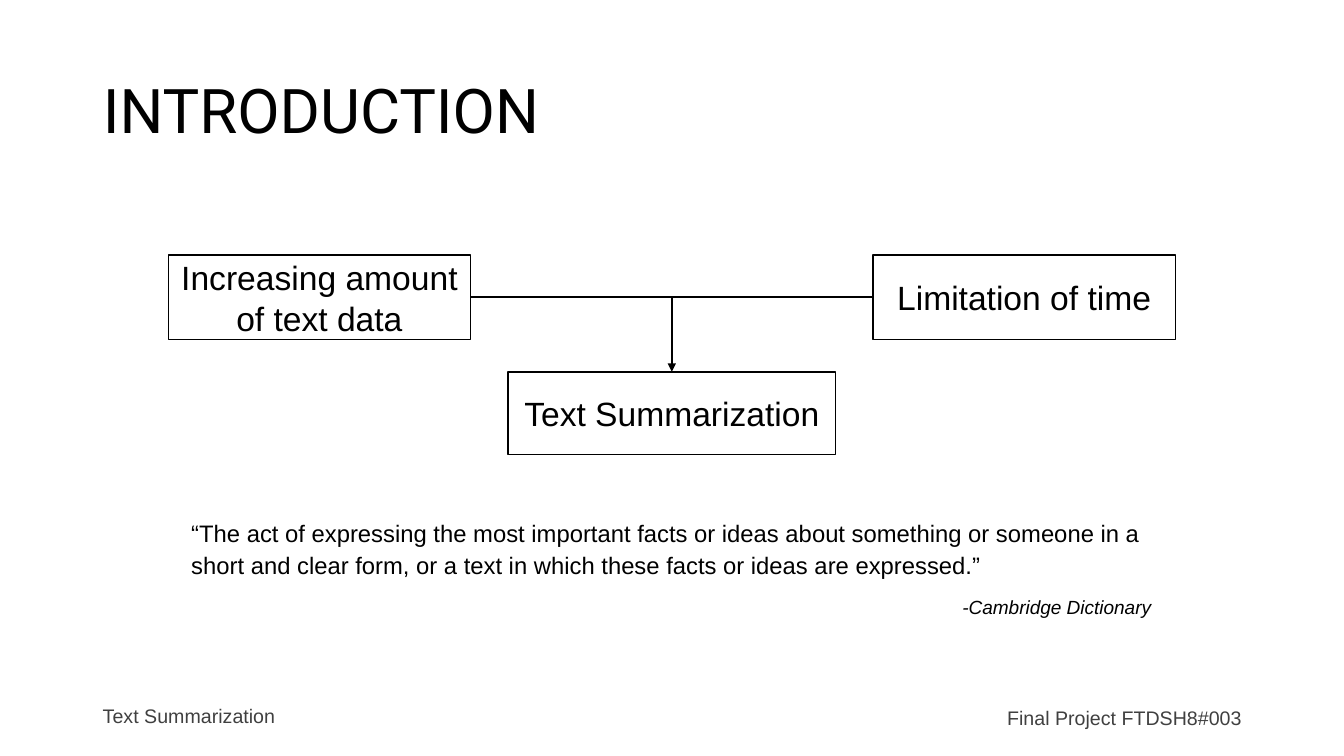
from dataclasses import dataclass

from lxml.etree import SubElement
from pptx import Presentation
from pptx.dml.color import RGBColor
from pptx.enum.shapes import MSO_CONNECTOR, MSO_SHAPE
from pptx.enum.text import MSO_ANCHOR, MSO_AUTO_SIZE, PP_ALIGN
from pptx.oxml.ns import qn
from pptx.util import Cm, Pt


@dataclass(frozen=True)
class Theme:
    """Colours, fonts and type sizes of the slide."""
    ink: str = "000000"
    paper: str = "FFFFFF"
    grey: str = "404040"
    head: str = "Roboto"
    text: str = "Arial"
    title: float = 44
    box: float = 24
    quote: float = 17
    credit: float = 13.6
    foot: float = 14
    edge: float = 1
    link: float = 1.5


@dataclass(frozen=True)
class Area:
    """A rectangle in centimetres."""
    left: float
    top: float
    width: float
    height: float

    @property
    def right(self) -> float:
        """Return the right edge."""
        return self.left + self.width

    @property
    def mid(self) -> float:
        """Return the height of the middle line."""
        return self.top + self.height / 2

    def cm(self) -> tuple:
        """Return the four lengths for a new shape."""
        return Cm(self.left), Cm(self.top), Cm(self.width), Cm(self.height)


@dataclass(frozen=True)
class Line:
    """One paragraph with its font and paragraph formats."""
    text: str
    size: float
    align: PP_ALIGN = PP_ALIGN.LEFT
    color: str = "000000"
    font: str = "Arial"
    italic: bool = False
    space: float = 1.0
    before: float = 0


@dataclass(frozen=True)
class Label:
    """An area that holds lines of text."""
    area: Area
    lines: tuple


@dataclass(frozen=True)
class Link:
    """A straight line between two points in centimetres."""
    start: tuple
    end: tuple
    arrow: bool = False


LOOK = Theme()
TITLE = Label(Area(2.34, 1.02, 29.21, 3.68), (
    Line("INTRODUCTION", LOOK.title, font=LOOK.head, color=LOOK.ink, space=0.9),))
FEET = (
    Label(Area(24.69, 17.55, 6.86, 1.07), (
        Line("Final Project FTDSH8#003", LOOK.foot, PP_ALIGN.RIGHT, LOOK.grey),)),
    Label(Area(2.34, 17.5, 5.13, 1.07), (
        Line("Text Summarization", LOOK.foot, color=LOOK.grey),)),
)
QUOTE = Label(Area(4.57, 12.88, 24.69, 2.79), (
    Line("“The act of expressing the most important facts or ideas about something "
         "or someone in a short and clear form, or a text in which these facts or "
         "ideas are expressed.”", LOOK.quote, color=LOOK.ink, space=1.1),
    Line("-Cambridge Dictionary", LOOK.credit, PP_ALIGN.RIGHT, LOOK.ink,
         italic=True, space=1.1, before=10),
))
CAUSE = Area(4.24, 6.43, 7.62, 2.13)
LIMIT = Area(22, 6.43, 7.62, 2.13)
RESULT = Area(12.8, 9.37, 8.26, 2.08)
BOXES = tuple(
    Label(area, (Line(text, LOOK.box, PP_ALIGN.CENTER, LOOK.ink),))
    for area, text in (
        (CAUSE, "Increasing amount of text data"),
        (LIMIT, "Limitation of time"),
        (RESULT, "Text Summarization"),
    ))
FORK = (CAUSE.right + LIMIT.left) / 2
LINKS = (
    Link((CAUSE.right, CAUSE.mid), (LIMIT.left, LIMIT.mid)),
    Link((FORK, CAUSE.mid), (FORK, RESULT.top), arrow=True),
)


def apply(item, values: dict) -> None:
    """Set each attribute of an item from its format value."""
    for name, value in values.items():
        setattr(item, name, value)


def write(shape, lines: tuple, anchor: MSO_ANCHOR = MSO_ANCHOR.MIDDLE) -> None:
    """Fill a shape with formatted lines."""
    frame = shape.text_frame
    apply(frame, {"word_wrap": True, "auto_size": MSO_AUTO_SIZE.NONE,
                  "vertical_anchor": anchor})
    for index, line in enumerate(lines):
        para = frame.add_paragraph() if index else frame.paragraphs[0]
        apply(para, {"alignment": line.align, "line_spacing": line.space,
                     "space_before": Pt(line.before)})
        run = para.add_run()
        run.text = line.text
        apply(run.font, {"name": line.font, "size": Pt(line.size),
                         "italic": line.italic})
        run.font.color.rgb = RGBColor.from_string(line.color)


def note(slide, label: Label, anchor: MSO_ANCHOR = MSO_ANCHOR.MIDDLE) -> None:
    """Add a text box."""
    write(slide.shapes.add_textbox(*label.area.cm()), label.lines, anchor)


def ink(line, width: float) -> None:
    """Give a line its colour and width."""
    line.color.rgb = RGBColor.from_string(LOOK.ink)
    line.width = Pt(width)


def box(slide, label: Label) -> None:
    """Add an outlined box with text."""
    shape = slide.shapes.add_shape(MSO_SHAPE.RECTANGLE, *label.area.cm())
    shape.shadow.inherit = False
    shape.fill.solid()
    shape.fill.fore_color.rgb = RGBColor.from_string(LOOK.paper)
    ink(shape.line, LOOK.edge)
    write(shape, label.lines)


def join(slide, link: Link) -> None:
    """Add a connector, with an arrowhead where asked."""
    points = [Cm(value) for value in link.start + link.end]
    wire = slide.shapes.add_connector(MSO_CONNECTOR.STRAIGHT, *points)
    ink(wire.line, LOOK.link)
    props = wire.element.spPr
    if link.arrow:
        SubElement(props.find(qn("a:ln")), qn("a:tailEnd"), type="triangle")
    SubElement(props, qn("a:effectLst"))


def main() -> None:
    """Build and save the slide."""
    deck = Presentation()
    apply(deck, {"slide_width": Cm(33.87), "slide_height": Cm(19.05)})
    slide = deck.slides.add_slide(deck.slide_layouts[5])
    title = slide.shapes.title
    apply(title, dict(zip(("left", "top", "width", "height"), TITLE.area.cm())))
    write(title, TITLE.lines)
    for foot in FEET:
        note(slide, foot)
    for label in BOXES:
        box(slide, label)
    for link in LINKS:
        join(slide, link)
    note(slide, QUOTE, MSO_ANCHOR.TOP)
    deck.save("out.pptx")


if __name__ == "__main__":
    main()
